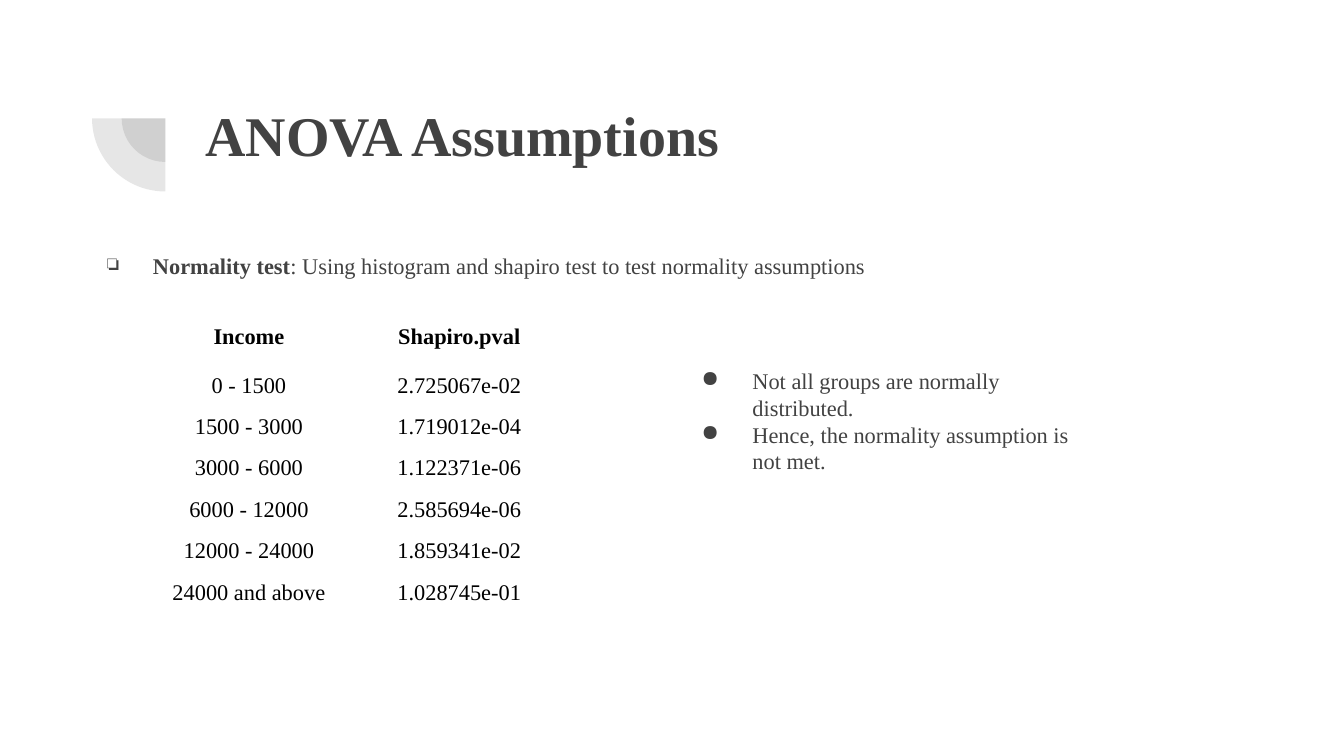
from dataclasses import dataclass

from lxml.etree import SubElement
from pptx import Presentation
from pptx.dml.color import RGBColor
from pptx.enum.shapes import MSO_SHAPE as Shape
from pptx.enum.text import MSO_ANCHOR as Anchor, PP_ALIGN as Align
from pptx.oxml.ns import qn
from pptx.util import Inches, Pt


@dataclass(frozen=True)
class Theme:
    font: str = "Times New Roman"
    ink: str = "424242"
    table_ink: str = "000000"
    paper: str = "FFFFFF"
    title_size: int = 30
    text_size: int = 12
    pie_opacity: int = 13


THEME = Theme()

SHAPIRO_ROWS = [
    ("Income", "Shapiro.pval"),
    ("0 - 1500", "2.725067e-02"),
    ("1500 - 3000", "1.719012e-04"),
    ("3000 - 6000", "1.122371e-06"),
    ("6000 - 12000", "2.585694e-06"),
    ("12000 - 24000", "1.859341e-02"),
    ("24000 and above", "1.028745e-01"),
]


def style_font(font, color=THEME.ink, size=THEME.text_size, bold=False):
    font.name = THEME.font
    font.size = Pt(size)
    font.bold = bold
    font.color.rgb = RGBColor.from_string(color)


def add_quarter_pie(page, center_x, center_y, diameter):
    pie = page.shapes.add_shape(
        Shape.PIE, Inches(center_x - diameter / 2),
        Inches(center_y - diameter / 2), Inches(diameter), Inches(diameter))
    pie.adjustments[0], pie.adjustments[1] = 108, 162
    pie.rotation = 270
    pie.shadow.inherit = False
    pie.line.fill.background()
    pie.fill.solid()
    pie.fill.fore_color.rgb = RGBColor.from_string(THEME.ink)
    color = pie.fill._xPr.find(qn("a:solidFill"))[0]
    SubElement(color, qn("a:alpha"), val=str(THEME.pie_opacity * 1000))


def add_text_box(page, left, top, width, height):
    box = page.shapes.add_textbox(
        Inches(left), Inches(top), Inches(width), Inches(height))
    frame = box.text_frame
    frame.word_wrap = True
    frame.margin_left = frame.margin_right = Inches(0.1)
    frame.margin_top = frame.margin_bottom = Inches(0.1)
    return box


def set_bullet(para, symbol, hanging, percent=100):
    props = para._p.get_or_add_pPr()
    props.set("marL", str(Inches(0.5)))
    props.set("indent", str(-Inches(hanging)))
    color = SubElement(props, qn("a:buClr"))
    SubElement(color, qn("a:srgbClr"), val=THEME.ink)
    SubElement(props, qn("a:buSzPct"), val=str(percent * 1000))
    SubElement(props, qn("a:buChar"), char=symbol)


def add_title(page, text):
    para = add_text_box(page, 1.43, 0.65, 7.69, 1.09).text_frame.paragraphs[0]
    para.text = text
    style_font(para.font, size=THEME.title_size, bold=True)


def add_body(page, term, explanation):
    box = add_text_box(page, 0.54, 1.75, 8.8, 3.67)
    box.fill.solid()
    box.fill.fore_color.rgb = RGBColor.from_string(THEME.paper)
    para = box.text_frame.paragraphs[0]
    para.line_spacing = 1.15
    set_bullet(para, "❏", 0.34, 93)
    for text, bold in ((term, True), (explanation, False)):
        span = para.add_run()
        span.text = text
        style_font(span.font, bold=bold)


def add_findings(page, findings):
    frame = add_text_box(page, 5, 2.63, 3.19, 1.38).text_frame
    frame.text = "\n".join(findings)
    for para in frame.paragraphs:
        set_bullet(para, "●", 0.38)
        style_font(para.font)


def add_table(page, rows):
    table = page.shapes.add_table(
        len(rows), len(rows[0]), Inches(1.07), Inches(2.4),
        Inches(3.13), Inches(2.16)).table
    table.first_row = table.horz_banding = False
    for row_index, values in enumerate(rows):
        header = row_index == 0
        for column_index, value in enumerate(values):
            cell = table.cell(row_index, column_index)
            cell.fill.background()
            cell.margin_left = cell.margin_right = Inches(0.07)
            cell.margin_top = cell.margin_bottom = 0
            cell.vertical_anchor = Anchor.TOP if header else Anchor.MIDDLE
            para = cell.text_frame.paragraphs[0]
            para.text = value
            para.alignment = Align.CENTER
            para.line_spacing = 1.07
            style_font(para.font, THEME.table_ink, bold=header)


def main():
    deck = Presentation()
    # Widescreen page, 16:9
    deck.slide_width = Inches(10)
    deck.slide_height = deck.slide_width * 9 // 16
    page = deck.slides.add_slide(deck.slide_layouts[6])

    # Corner ornament: two concentric quarter pies
    for diameter in (0.65, 1.09):
        add_quarter_pie(page, 1.23, 0.88, diameter)

    # Heading and body text
    add_title(page, "ANOVA Assumptions")
    add_body(page, "Normality test",
             ": Using histogram and shapiro test to test normality assumptions")

    # Findings beside the test results
    add_findings(page, ["Not all groups are normally distributed.",
                        "Hence, the normality assumption is not met."])
    add_table(page, SHAPIRO_ROWS)

    deck.save("out.pptx")


if __name__ == "__main__":
    main()
